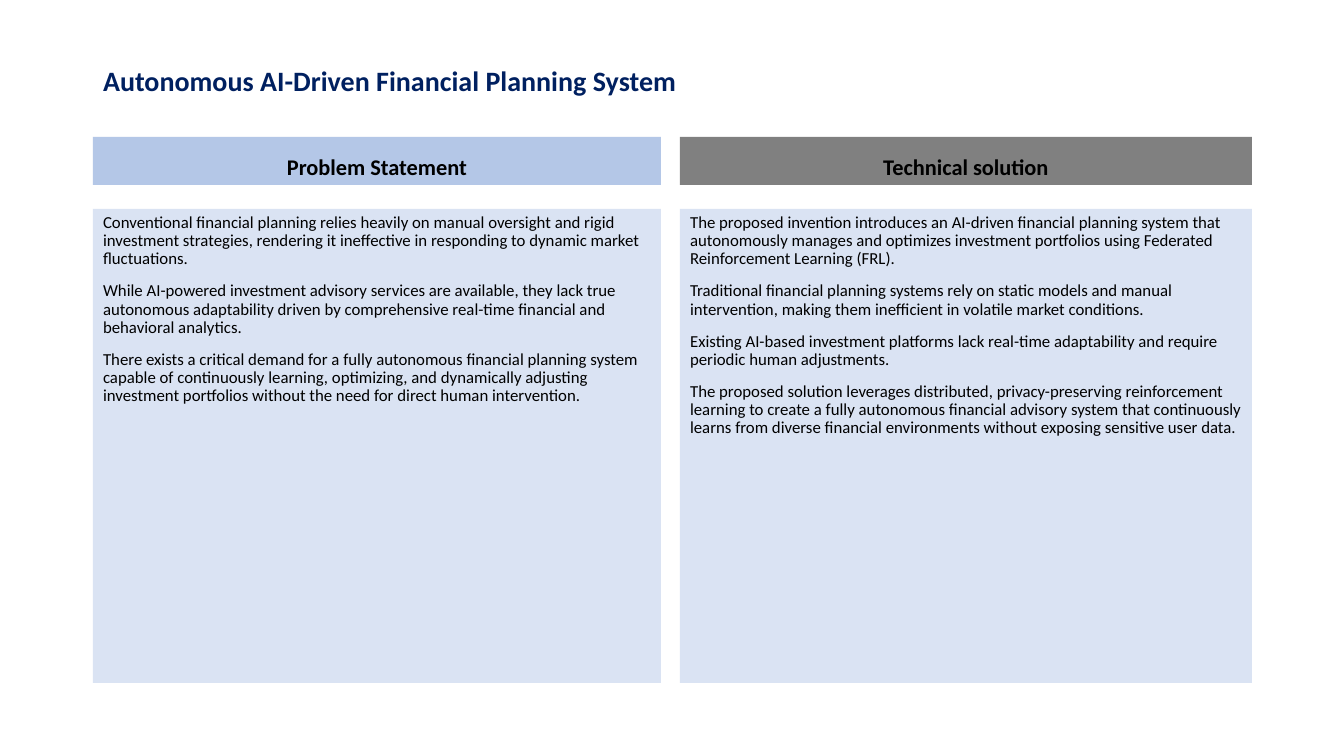
from dataclasses import dataclass

from lxml import etree
from pptx import Presentation
from pptx.dml.color import RGBColor
from pptx.enum.text import MSO_ANCHOR, MSO_AUTO_SIZE, PP_ALIGN
from pptx.oxml.ns import qn
from pptx.util import Pt

LEFT, CENTER = PP_ALIGN.LEFT, PP_ALIGN.CENTER
TOP, MIDDLE, BOTTOM = MSO_ANCHOR.TOP, MSO_ANCHOR.MIDDLE, MSO_ANCHOR.BOTTOM
NO_AUTOFIT = MSO_AUTO_SIZE.NONE

SLIDE_WIDTH, SLIDE_HEIGHT = 1344, 756
EMU_PER_PX = 12192000 / SLIDE_WIDTH
COMPARISON_LAYOUT = 4

TITLE_BOX = (93, 40, 1159, 84)
HEADING_TOP, HEADING_HEIGHT = 137, 48
BODY_TOP, BODY_HEIGHT = 209, 474


@dataclass(frozen=True)
class Theme:
    font: str = "Calibri"
    title_color: str = "002060"
    text_color: str = "000000"
    problem_fill: str = "B4C7E7"
    solution_fill: str = "808080"
    body_fill: str = "DAE3F3"
    title_size: int = 20
    heading_size: int = 16
    body_size: int = 12
    line_spacing: float = 0.9
    space_before: int = 10


THEME = Theme()

TITLE = "Autonomous AI-Driven Financial Planning System"
PROBLEM_POINTS = [
    "Conventional financial planning relies heavily on manual oversight and rigid "
    "investment strategies, rendering it ineffective in responding to dynamic market "
    "fluctuations.",
    "While AI-powered investment advisory services are available, they lack true "
    "autonomous adaptability driven by comprehensive real-time financial and "
    "behavioral analytics.",
    "There exists a critical demand for a fully autonomous financial planning system "
    "capable of continuously learning, optimizing, and dynamically adjusting "
    "investment portfolios without the need for direct human intervention.",
]
SOLUTION_POINTS = [
    "The proposed invention introduces an AI-driven financial planning system that "
    "autonomously manages and optimizes investment portfolios using Federated "
    "Reinforcement Learning (FRL).",
    "Traditional financial planning systems rely on static models and manual "
    "intervention, making them inefficient in volatile market conditions.",
    "Existing AI-based investment platforms lack real-time adaptability and require "
    "periodic human adjustments.",
    "The proposed solution leverages distributed, privacy-preserving reinforcement "
    "learning to create a fully autonomous financial advisory system that "
    "continuously learns from diverse financial environments without exposing "
    "sensitive user data.",
]


def px(length):
    return round(length * EMU_PER_PX)


def place(shape, box):
    shape.left, shape.top, shape.width, shape.height = map(px, box)


def fill_solid(shape, color):
    shape.fill.solid()
    shape.fill.fore_color.rgb = RGBColor.from_string(color)


def remove_bullet(paragraph):
    properties = paragraph._p.get_or_add_pPr()
    properties.set("marL", "0")
    properties.set("indent", "0")
    etree.SubElement(properties, qn("a:buNone"))


def write_text(shape, lines, size, color, bold, alignment, anchor, space_before):
    text_frame = shape.text_frame
    text_frame.text = "\n".join(lines)
    text_frame.word_wrap = True
    text_frame.auto_size = NO_AUTOFIT
    text_frame.vertical_anchor = anchor
    for paragraph in text_frame.paragraphs:
        paragraph.alignment = alignment
        paragraph.line_spacing = THEME.line_spacing
        paragraph.space_before = Pt(space_before)
        remove_bullet(paragraph)
        for run in paragraph.runs:
            run.font.name = THEME.font
            run.font.size = Pt(size)
            run.font.bold = bold
            run.font.color.rgb = RGBColor.from_string(color)


def add_title(shape, text):
    place(shape, TITLE_BOX)
    write_text(shape, [text], THEME.title_size, THEME.title_color, True, LEFT, MIDDLE, 0)


def add_column(heading, body, left, width, heading_text, heading_fill, points):
    """Lay out one heading bar with its panel of paragraphs below."""
    place(heading, (left, HEADING_TOP, width, HEADING_HEIGHT))
    fill_solid(heading, heading_fill)
    write_text(heading, [heading_text], THEME.heading_size, THEME.text_color,
               True, CENTER, BOTTOM, THEME.space_before)
    place(body, (left, BODY_TOP, width, BODY_HEIGHT))
    fill_solid(body, THEME.body_fill)
    write_text(body, points, THEME.body_size, THEME.text_color,
               False, LEFT, TOP, THEME.space_before)


def main():
    presentation = Presentation()
    presentation.slide_width = px(SLIDE_WIDTH)
    presentation.slide_height = px(SLIDE_HEIGHT)
    slide = presentation.slides.add_slide(presentation.slide_layouts[COMPARISON_LAYOUT])
    title, problem_heading, problem_body, solution_heading, solution_body = [
        slide.placeholders[index] for index in range(5)
    ]
    add_title(title, TITLE)
    add_column(problem_heading, problem_body, 93, 568,
               "Problem Statement", THEME.problem_fill, PROBLEM_POINTS)
    add_column(solution_heading, solution_body, 680, 572,
               "Technical solution", THEME.solution_fill, SOLUTION_POINTS)
    presentation.save("out.pptx")


if __name__ == "__main__":
    main()
